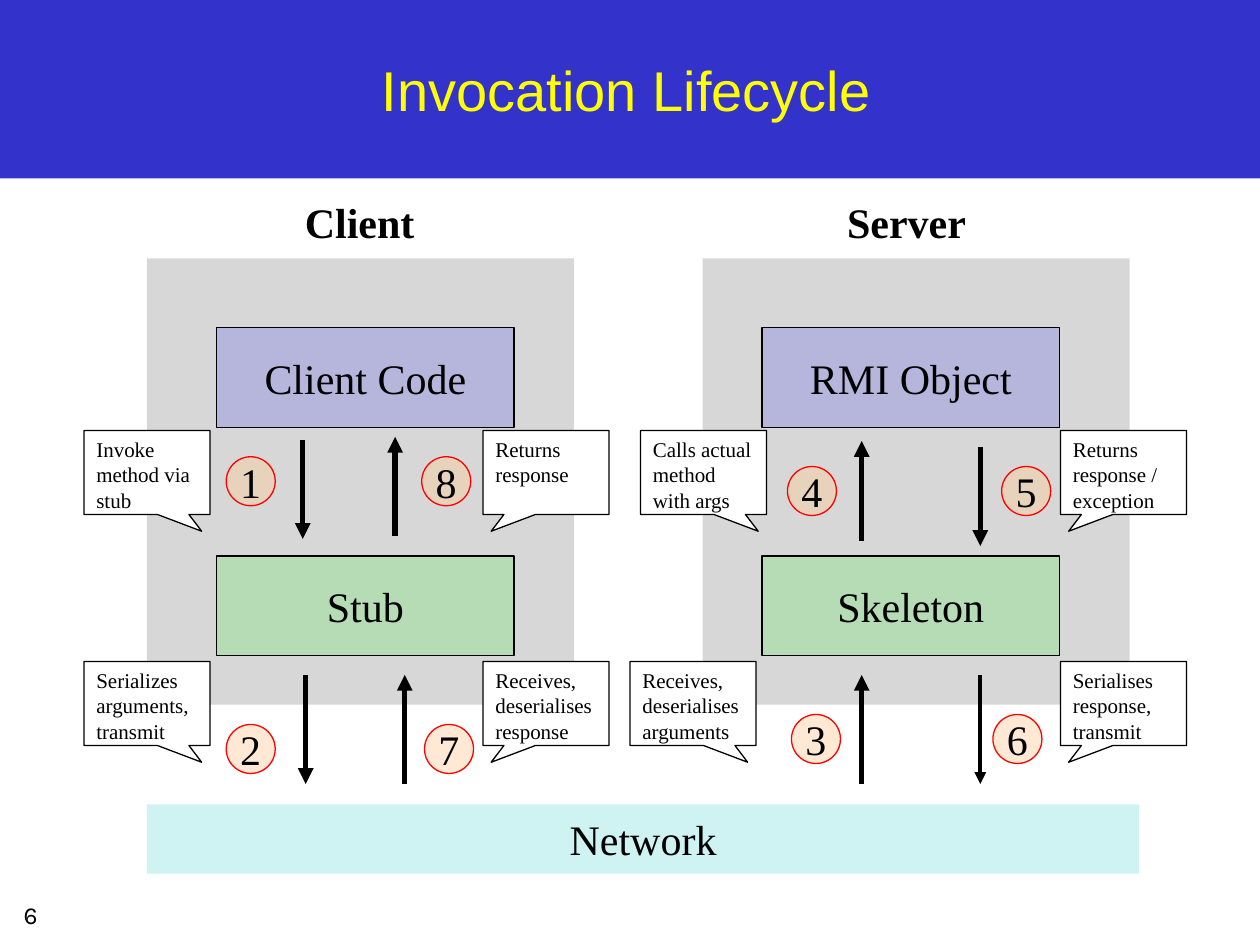
import pptx
import pptx.dml.color
import pptx.enum.shapes
import pptx.enum.text
import pptx.oxml
import pptx.oxml.ns
import pptx.util

Pt = pptx.util.Pt
Shape = pptx.enum.shapes.MSO_SHAPE
Anchor = pptx.enum.text.MSO_ANCHOR
Align = pptx.enum.text.PP_ALIGN
qn = pptx.oxml.ns.qn


def rgb(value):
    return pptx.dml.color.RGBColor.from_string(value)


def add_xml(parent, tag, **attributes):
    element = pptx.oxml.parse_xml(f'<{tag} {pptx.oxml.ns.nsdecls("a")}/>')
    for key, value in attributes.items():
        element.set(key, value)
    parent.append(element)


class LifecycleSlide:
    serif = "Times New Roman"
    ink = "000000"
    badge_size = 28
    box_size = (170, 57)
    callout_size = (72, 48)

    def __init__(self, slide):
        self.slide = slide

    def set_text(self, target, text, size=24, font=serif, color=ink, bold=False,
                 align=Align.CENTER, anchor=Anchor.MIDDLE, wrap=False):
        frame = target.text_frame
        frame.text = text
        frame.word_wrap = wrap
        frame.vertical_anchor = anchor
        paragraph = frame.paragraphs[0]
        paragraph.alignment = align
        style = paragraph.runs[0].font
        style.size, style.name, style.bold = Pt(size), font, bold
        style.color.rgb = rgb(color)

    def title(self, text, left, top, width, height):
        heading = self.slide.shapes.title
        heading.left, heading.top = Pt(left), Pt(top)
        heading.width, heading.height = Pt(width), Pt(height)
        self.set_text(heading, text, 32, "Arial", "FFFF00", wrap=True)

    def label(self, text, left, top, width, height, **style):
        caption = self.slide.shapes.add_textbox(Pt(left), Pt(top), Pt(width), Pt(height))
        self.set_text(caption, text, anchor=Anchor.TOP, **style)

    def area(self, left, top, width, height, fill, alpha=100, line=None, kind=Shape.RECTANGLE):
        panel = self.slide.shapes.add_shape(kind, Pt(left), Pt(top), Pt(width), Pt(height))
        panel.shadow.inherit = False
        panel.fill.solid()
        panel.fill.fore_color.rgb = rgb(fill)
        if alpha < 100:
            color = panel._element.spPr.find(qn("a:solidFill"))[0]
            add_xml(color, "a:alpha", val=str(alpha * 1000))
        if line:
            panel.line.color.rgb = rgb(line)
            panel.line.width = Pt(0.75)
        else:
            panel.line.fill.background()
        return panel

    def band(self, height, fill):
        header = self.area(0, 0, 720, height, fill)
        self.slide.shapes._spTree.insert(2, header._element)

    def box(self, text, left, top, fill):
        self.set_text(self.area(left, top, *self.box_size, fill, 15, self.ink), text)

    def badge(self, number, left, top):
        circle = self.area(left, top, self.badge_size, self.badge_size,
                           "FFCC99", 42, "FF0000", Shape.OVAL)
        self.set_text(circle, number)

    def callout(self, text, left, top, tail):
        note = self.area(left, top, *self.callout_size, "FFFFFF", line=self.ink,
                         kind=Shape.RECTANGULAR_CALLOUT)
        note.adjustments[0], note.adjustments[1] = tail, 0.7
        self.set_text(note, text, 12, align=Align.LEFT, anchor=Anchor.TOP, wrap=True)

    def arrow(self, x, start, end, width):
        step = self.slide.shapes.add_connector(
            pptx.enum.shapes.MSO_CONNECTOR.STRAIGHT, Pt(x), Pt(start), Pt(x), Pt(end))
        step.line.color.rgb = rgb(self.ink)
        step.line.width = Pt(width)
        add_xml(step._element.spPr.find(qn("a:ln")), "a:tailEnd", type="triangle")
        add_xml(step._element.spPr, "a:effectLst")


def main():
    deck = pptx.Presentation()
    deck.slide_width, deck.slide_height = Pt(720), Pt(540)
    page = LifecycleSlide(deck.slides.add_slide(deck.slide_layouts[5]))

    page.band(102, "3333CC")
    page.title("Invocation Lifecycle", 12, 12, 692, 78)
    page.label("6", -24, 510.5, 83, 27, size=14, font="Karla")

    sides = [
        ("Client", 89.3, 84, 123.8, "Client Code", "Stub"),
        ("Server", 401.8, 401.5, 435.5, "RMI Object", "Skeleton"),
    ]
    for side, heading_left, zone_left, box_left, upper, lower in sides:
        page.area(zone_left, 147.7, 244, 255, "808080", 31)
        page.label(side, heading_left, 109, 232.5, 36, bold=True, wrap=True)
        page.box(upper, box_left, 187.2, "0000FF")
        page.box(lower, box_left, 317.7, "00FF00")

    page.set_text(page.area(84, 459.7, 567, 39.5, "33CCCC", 23), "Network")

    steps = [
        ("1", 129.3, 261, 173, 251.3, 308, 3),
        ("2", 129.3, 414, 174.7, 385.7, 448, 3),
        ("3", 452.3, 408.3, 492.4, 448, 385.7, 3),
        ("4", 450, 266.6, 492.4, 309, 252, 3),
        ("5", 572.4, 266.6, 560.2, 255.3, 312, 3),
        ("6", 567.4, 408.3, 560.2, 385.7, 448, 2.25),
        ("7", 242.6, 414, 231.3, 448, 385.7, 3),
        ("8", 241, 261, 225.8, 306.2, 249.7, 3),
    ]
    for number, badge_left, badge_top, arrow_x, start, end, width in steps:
        page.arrow(arrow_x, start, end, width)
        page.badge(number, badge_left, badge_top)

    tail_right, tail_left = 0.435, -0.435
    call_top, transfer_top = 246, 378
    notes = [
        ("Invoke method via stub", 48, call_top, tail_right),
        ("Serializes arguments, transmit", 48, transfer_top, tail_right),
        ("Calls actual method with args", 366, call_top, tail_right),
        ("Receives, deserialises arguments", 360, transfer_top, tail_right),
        ("Returns response / exception", 606, call_top, tail_left),
        ("Serialises response, transmit", 606, transfer_top, tail_left),
        ("Returns response", 276, call_top, tail_left),
        ("Receives, deserialises response", 276, transfer_top, tail_left),
    ]
    for note in notes:
        page.callout(*note)

    deck.save("out.pptx")


if __name__ == "__main__":
    main()
